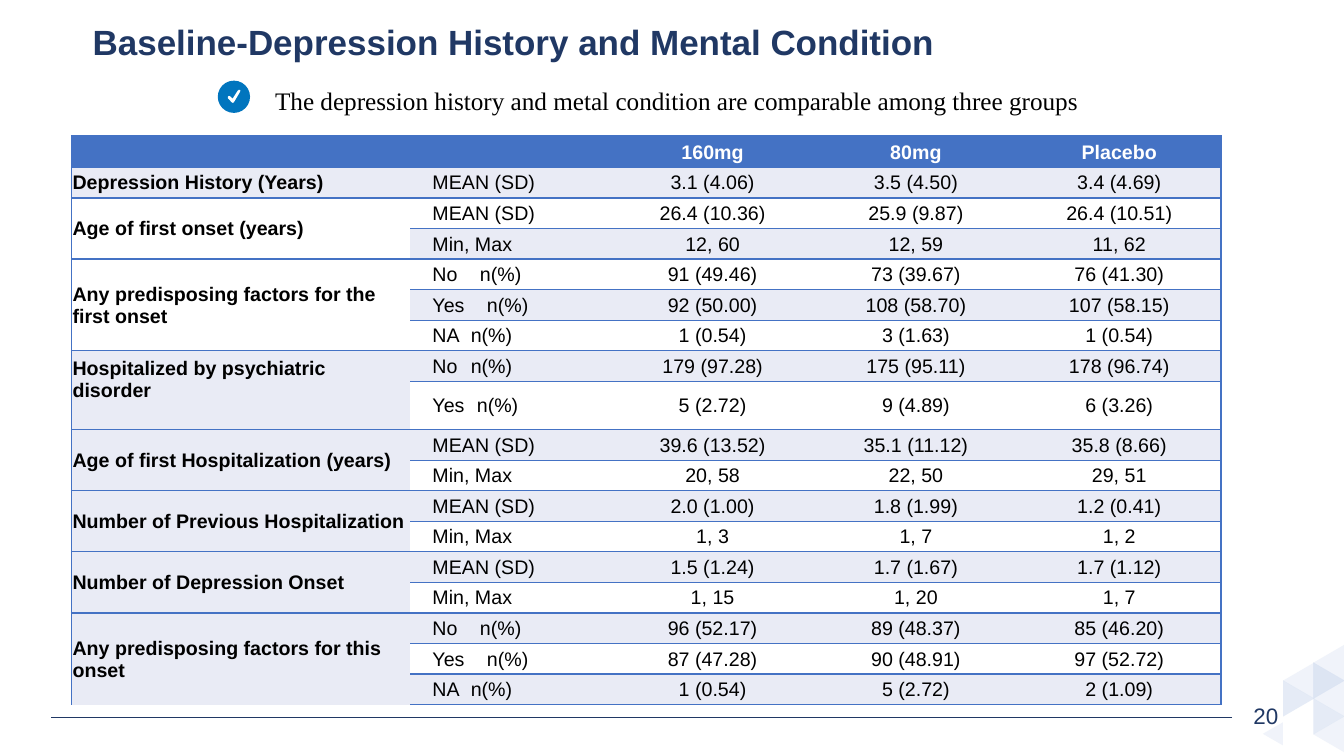
from lxml import etree
from pptx import Presentation, util as u
from pptx.dml.color import RGBColor
from pptx.enum import shapes, text
from pptx.oxml.ns import qn

NAVY = RGBColor(0x20, 0x38, 0x64)
BLUE = RGBColor(0x44, 0x72, 0xC4)
BADGE = RGBColor(0x01, 0x75, 0xBE)
BAND = RGBColor(0xE9, 0xEB, 0xF5)
PALE = RGBColor(0xDA, 0xE3, 0xF3)
WHITE = RGBColor(0xFF, 0xFF, 0xFF)
BLACK = RGBColor(0, 0, 0)

PLAIN_TABLE = "{2D5ABB26-0587-4C30-8999-92F81FD0307C}"
CENTER = text.PP_ALIGN.CENTER
MIDDLE = text.MSO_ANCHOR.MIDDLE

# Measures: label and the tab stop (inches) of its unit
MEAN, RANGE = ("MEAN (SD)", None), ("Min, Max", None)
NO, YES, NA = ("No\tn(%)", 0.47), ("Yes\tn(%)", 0.54), ("NA\tn(%)", 0.38)
NO_TIGHT, YES_TIGHT = ("No\tn(%)", 0.38), ("Yes\tn(%)", 0.44)

ARMS = ["160mg", "80mg", "Placebo"]
HOSPITALIZED = "Hospitalized by psychiatric disorder"
# Topic, fill of the topic cell, and its rows of (measure, values per arm)
TOPICS = [
    ("Depression History (Years)", BAND, [
        (MEAN, "3.1 (4.06)", "3.5 (4.50)", "3.4 (4.69)")]),
    ("Age of first onset (years)", WHITE, [
        (MEAN, "26.4 (10.36)", "25.9 (9.87)", "26.4 (10.51)"),
        (RANGE, "12, 60", "12, 59", "11, 62")]),
    ("Any predisposing factors for the first onset", WHITE, [
        (NO, "91 (49.46)", "73 (39.67)", "76 (41.30)"),
        (YES, "92 (50.00)", "108 (58.70)", "107 (58.15)"),
        (NA, "1 (0.54)", "3 (1.63)", "1 (0.54)")]),
    (HOSPITALIZED, BAND, [
        (NO_TIGHT, "179 (97.28)", "175 (95.11)", "178 (96.74)"),
        (YES_TIGHT, "5 (2.72)", "9 (4.89)", "6 (3.26)")]),
    ("Age of first Hospitalization (years)", BAND, [
        (MEAN, "39.6 (13.52)", "35.1 (11.12)", "35.8 (8.66)"),
        (RANGE, "20, 58", "22, 50", "29, 51")]),
    ("Number of Previous Hospitalization", BAND, [
        (MEAN, "2.0 (1.00)", "1.8 (1.99)", "1.2 (0.41)"),
        (RANGE, "1, 3", "1, 7", "1, 2")]),
    ("Number of Depression Onset", BAND, [
        (MEAN, "1.5 (1.24)", "1.7 (1.67)", "1.7 (1.12)"),
        (RANGE, "1, 15", "1, 20", "1, 7")]),
    ("Any predisposing factors for this onset", BAND, [
        (NO, "96 (52.17)", "89 (48.37)", "85 (46.20)"),
        (YES, "87 (47.28)", "90 (48.91)", "97 (52.72)"),
        (NA, "1 (0.54)", "5 (2.72)", "2 (1.09)")]),
]


def inches(*lengths):
    return [u.Inches(length) for length in lengths]


def write(frame, words, size=14, font="Arial", color=BLACK, bold=False,
          align=None, spacing=None, tab=None):
    paragraph = frame.paragraphs[0]
    if tab:
        stops = etree.SubElement(paragraph._p.get_or_add_pPr(), qn("a:tabLst"))
        etree.SubElement(stops, qn("a:tab"), pos=str(u.Inches(tab)), algn="l")
    paragraph.alignment = align
    if spacing:
        paragraph.line_spacing = spacing
    run = paragraph.add_run()
    run.text = words
    run.font.size, run.font.name, run.font.bold = u.Pt(size), font, bold
    run.font.color.rgb = color


def text_box(slide, box, words, anchor=text.MSO_ANCHOR.TOP, **style):
    frame = slide.shapes.add_textbox(*inches(*box)).text_frame
    frame.word_wrap = True
    frame.vertical_anchor = anchor
    write(frame, words, **style)


def paint(shape, color, alpha=None):
    shape.shadow.inherit = False
    shape.fill.solid()
    shape.fill.fore_color.rgb = color
    shape.line.fill.background()
    if alpha:
        tint = shape._element.spPr.find(".//" + qn("a:srgbClr"))
        etree.SubElement(tint, qn("a:alpha"), val=str(alpha * 1000))


def border(cell, sides):
    properties = cell._tc.get_or_add_tcPr()
    for place, side in enumerate(s for s in "LRTB" if s in sides):
        line = etree.Element(qn("a:ln" + side), w=str(u.Pt(1)))
        fill = etree.SubElement(line, qn("a:solidFill"))
        etree.SubElement(fill, qn("a:srgbClr"), val=str(BLUE))
        properties.insert(place, line)


def footer(slide, box):
    left, top, width, height = box
    rule = slide.shapes.add_connector(
        shapes.MSO_CONNECTOR.STRAIGHT,
        *inches(left + width, top, left, top))
    rule.line.color.rgb, rule.line.width = NAVY, u.Pt(1)
    etree.SubElement(rule._element.spPr, qn("a:effectLst"))
    text_box(slide, (left + width + 0.05, top - height / 2, 0.57, height), "20",
             size=16, color=NAVY, align=CENTER)


def corner_pattern(slide, box):
    """Triangles on a grid of two columns and half-height rows."""
    left, top, width, height = box
    column, row = width / 2, height / 5.75
    right_facing, left_facing = (90, 70), (270, 40)
    for x, y, (turn, alpha) in [
            (0, 2, right_facing), (0, 1, left_facing), (1, 1, right_facing),
            (1, 1, right_facing), (1, 2, left_facing), (1, 0, left_facing),
            (1, 4, left_facing), (1, 3, right_facing)]:
        triangle(slide, (left + x * column, top + y * row, 0.36, 0.31), turn, alpha)
    triangle(slide, (left - 0.19, top + 0.76, 0.23, 0.2), *left_facing)


def triangle(slide, box, turn, alpha):
    facet = slide.shapes.add_shape(
        shapes.MSO_SHAPE.ISOSCELES_TRIANGLE, *inches(*box))
    facet.rotation = turn
    paint(facet, PALE, alpha)


def key_message(slide, box, words):
    left, top, width, height = box
    size = 0.8 * height
    text_box(slide, (left + 0.47, top, width - 0.47, height), words,
             size=18, font="Times New Roman")
    badge = slide.shapes.add_shape(
        shapes.MSO_SHAPE.OVAL, *inches(left, top, size, size))
    paint(badge, BADGE)
    # Check mark, as hundredths of the badge
    outline = [(47, 69), (43, 67), (31, 54), (31, 50), (35, 47), (39, 49),
               (46, 56), (62, 31), (66, 28), (70, 30), (69, 35), (50, 67)]
    points = [(u.Inches(left + x * size / 100), u.Inches(top + y * size / 100))
              for x, y in outline]
    pen = slide.shapes.build_freeform(*points[0])
    pen.add_line_segments(points[1:], close=True)
    paint(pen.convert_to_shape(), WHITE)


def baseline_table(slide, box):
    row_count = 1 + sum(len(rows) for _, _, rows in TOPICS)
    grid = slide.shapes.add_table(row_count, 5, *inches(*box)).table
    grid._tbl.tblPr[0].text = PLAIN_TABLE
    grid.first_row = grid.horz_banding = False

    # Column widths, row heights and the shared cell format
    topic_width, measure_width, tall_row = 3.36, 1.99, 0.48
    arm_width = (box[2] - topic_width - measure_width) / len(ARMS)
    for column, width in zip(grid.columns,
                             [topic_width, measure_width] + [arm_width] * 3):
        column.width = u.Inches(width)
    for r, row in enumerate(grid.rows):
        row.height = u.Inches((box[3] - tall_row) / (row_count - 1))
        for c, cell in enumerate(row.cells):
            cell.margin_left = cell.margin_right = cell.margin_top = u.Inches(0.01)
            cell.margin_bottom = 0
            cell.vertical_anchor = MIDDLE
            cell.fill.solid()
            cell.fill.fore_color.rgb = BLUE if r == 0 else BAND if r % 2 else WHITE
            if c:
                border(cell, "TBR" if c == 4 else "TB")
    border(grid.cell(0, 0), "LTB")
    for c, arm in enumerate(ARMS, 2):
        write(grid.cell(0, c).text_frame, arm, color=WHITE, bold=True, align=CENTER)

    # Topics with their measures
    first = 1
    for topic, fill, rows in TOPICS:
        last = first + len(rows) - 1
        head = grid.cell(first, 0)
        for r in range(first, last + 1):
            sides = "L" + "T" * (r == first) + "B" * (r == last)
            border(grid.cell(r, 0), sides)
            grid.cell(r, 0).fill.fore_color.rgb = fill
        if last > first:
            head.merge(grid.cell(last, 0))
        write(head.text_frame, topic, bold=True)
        if topic == HOSPITALIZED:
            head.margin_bottom = u.Inches(0.22)
            grid.rows[last].height = u.Inches(tall_row)
        for r, ((label, tab), *values) in enumerate(rows, first):
            measure = grid.cell(r, 1)
            measure.margin_left = u.Inches(0.22)
            write(measure.text_frame, label, tab=tab)
            for c, value in enumerate(values, 2):
                write(grid.cell(r, c).text_frame, value, align=CENTER)
        first = last + 1


def main():
    deck = Presentation()
    deck.slide_width, deck.slide_height = inches(13.33, 7.5)
    slide = deck.slides.add_slide(deck.slide_layouts[6])
    footer(slide, (0.51, 7.12, 11.71, 0.4))
    corner_pattern(slide, (12.7, 6.42, 0.6, 1.02))
    text_box(slide, (0.82, 0.19, 11.42, 0.5),
             "Baseline-Depression History and Mental Condition", anchor=MIDDLE,
             size=25, color=NAVY, bold=True, spacing=0.9)
    key_message(slide, (2.16, 0.8, 9, 0.4),
                "The depression history and metal condition are comparable "
                "among three groups")
    baseline_table(slide, (0.71, 1.35, 11.4, 5.64))
    deck.save("out.pptx")


if __name__ == "__main__":
    main()
